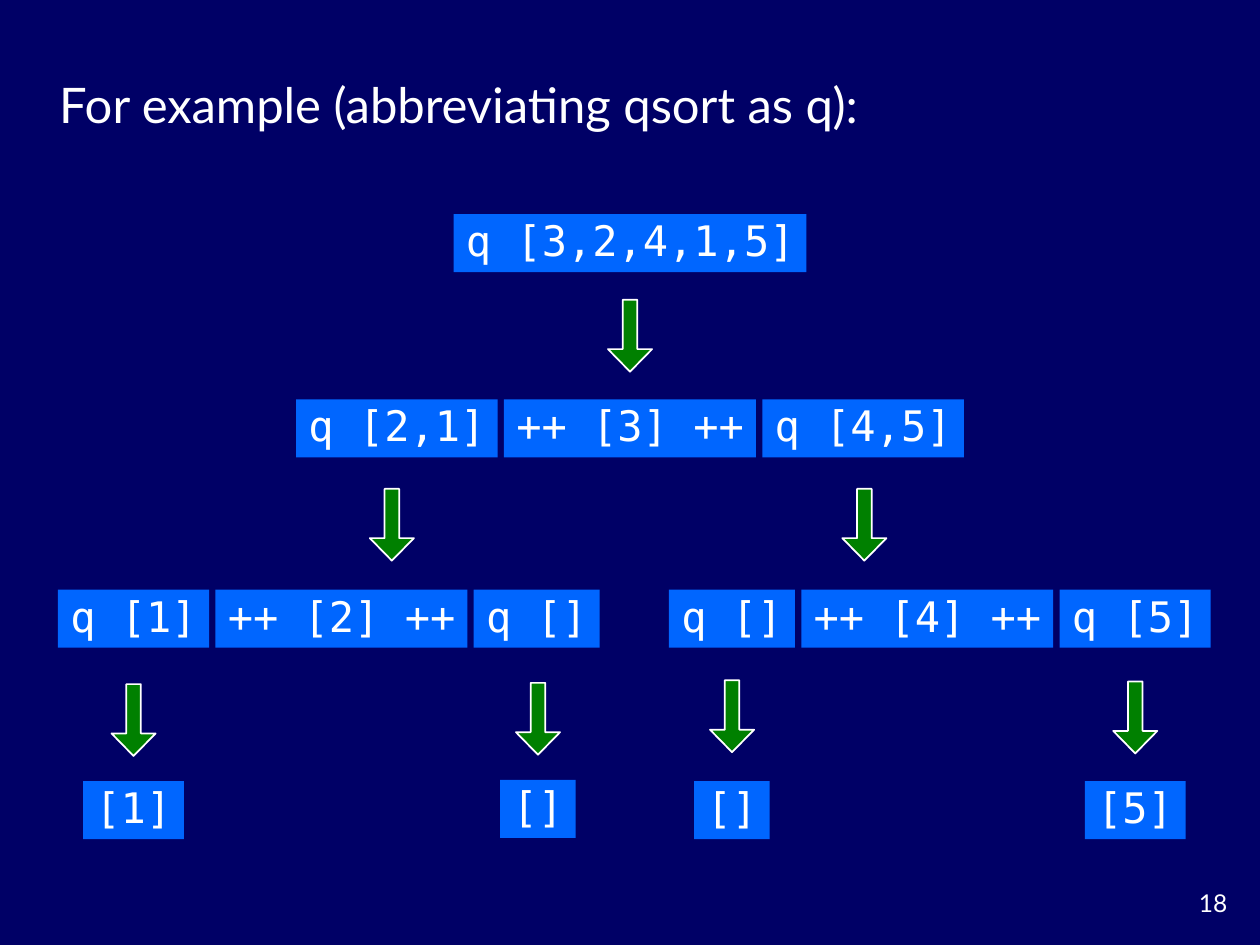
from pptx import Presentation
from pptx.dml.color import RGBColor
from pptx.enum.shapes import MSO_SHAPE
from pptx.enum.text import MSO_ANCHOR, MSO_AUTO_SIZE, PP_ALIGN
from pptx.util import Inches, Pt

NAVY = RGBColor(0x00, 0x00, 0x66)
BLUE = RGBColor(0x00, 0x66, 0xFF)
GREEN = RGBColor(0x00, 0x80, 0x00)
WHITE = RGBColor(0xFF, 0xFF, 0xFF)
SANS = "Lato"
MONO = "DejaVu Sans Mono"

CHAR_WIDTH = 0.2
BOX_PADDING = 0.2
BOX_HEIGHT = 0.46
BOX_GAP = 0.05
ARROW_WIDTH = 0.35
ARROW_HEIGHT = 0.57


def box_width(text):
    return len(text) * CHAR_WIDTH + BOX_PADDING


class SlideBuilder:
    def __init__(self, prs):
        self.s = prs.slides.add_slide(prs.slide_layouts[5])
        self.s.background.fill.solid()
        self.s.background.fill.fore_color.rgb = NAVY

    def set_text(self, sp, text, size, font, align=PP_ALIGN.LEFT, anchor=MSO_ANCHOR.MIDDLE):
        tf = sp.text_frame
        tf.text = text
        tf.vertical_anchor = anchor
        p = tf.paragraphs[0]
        p.alignment = align
        r = p.runs[0]
        r.font.size = Pt(size)
        r.font.name = font
        r.font.color.rgb = WHITE
        return tf

    def title(self, text, left, top, width, height):
        sp = self.s.shapes.title
        sp.left, sp.top = Inches(left), Inches(top)
        sp.width, sp.height = Inches(width), Inches(height)
        tf = self.set_text(sp, text, 28, SANS)
        tf.auto_size = MSO_AUTO_SIZE.NONE

    def page_number(self, text, left, top, width, height):
        sp = self.s.shapes.add_textbox(
            Inches(left), Inches(top), Inches(width), Inches(height))
        tf = self.set_text(sp, text, 14, SANS, PP_ALIGN.RIGHT, MSO_ANCHOR.TOP)
        tf.word_wrap = True

    def shape(self, kind, left, top, width, height, color):
        sp = self.s.shapes.add_shape(
            kind, Inches(left), Inches(top), Inches(width), Inches(height))
        sp.shadow.inherit = False
        sp.fill.solid()
        sp.fill.fore_color.rgb = color
        return sp

    def box(self, text, left, top):
        sp = self.shape(MSO_SHAPE.RECTANGLE, left, top, box_width(text), BOX_HEIGHT, BLUE)
        sp.line.fill.background()
        tf = self.set_text(sp, text, 24, MONO)
        tf.word_wrap = False
        tf.paragraphs[0].line_spacing = 0.9

    def row(self, texts, left, top):
        for text in texts:
            self.box(text, left, top)
            left += box_width(text) + BOX_GAP

    def arrow(self, center, top):
        sp = self.shape(MSO_SHAPE.DOWN_ARROW, center - ARROW_WIDTH / 2, top,
                        ARROW_WIDTH, ARROW_HEIGHT, GREEN)
        sp.adjustments[0] = 0.33
        sp.adjustments[1] = 0.51
        sp.line.color.rgb = WHITE
        sp.line.width = Pt(1)

    def result(self, text, center, arrow_top, box_top):
        self.arrow(center, arrow_top)
        self.box(text, center - box_width(text) / 2, box_top)


def main():
    prs = Presentation()
    prs.slide_width, prs.slide_height = Inches(10), Inches(7.5)
    slide = SlideBuilder(prs)
    slide.title("For example (abbreviating qsort as q):", 0.37, 0.54, 9.09, 0.57)
    slide.page_number("18", 9.17, 7, 0.67, 0.33)

    slide.row(["q [3,2,4,1,5]"], 3.6, 1.7)
    slide.arrow(5, 2.38)
    slide.row(["q [2,1]", "++ [3] ++", "q [4,5]"], 2.35, 3.17)
    for center in (3.11, 6.86):
        slide.arrow(center, 3.88)
    slide.row(["q [1]", "++ [2] ++", "q []"], 0.46, 4.68)
    slide.row(["q []", "++ [4] ++", "q [5]"], 5.31, 4.68)

    for text, center, arrow_top, box_top in [
        ("[1]", 1.06, 5.43, 6.2),
        ("[]", 4.27, 5.42, 6.19),
        ("[]", 5.81, 5.4, 6.2),
        ("[5]", 9.01, 5.41, 6.2),
    ]:
        slide.result(text, center, arrow_top, box_top)

    prs.save("out.pptx")


if __name__ == "__main__":
    main()
